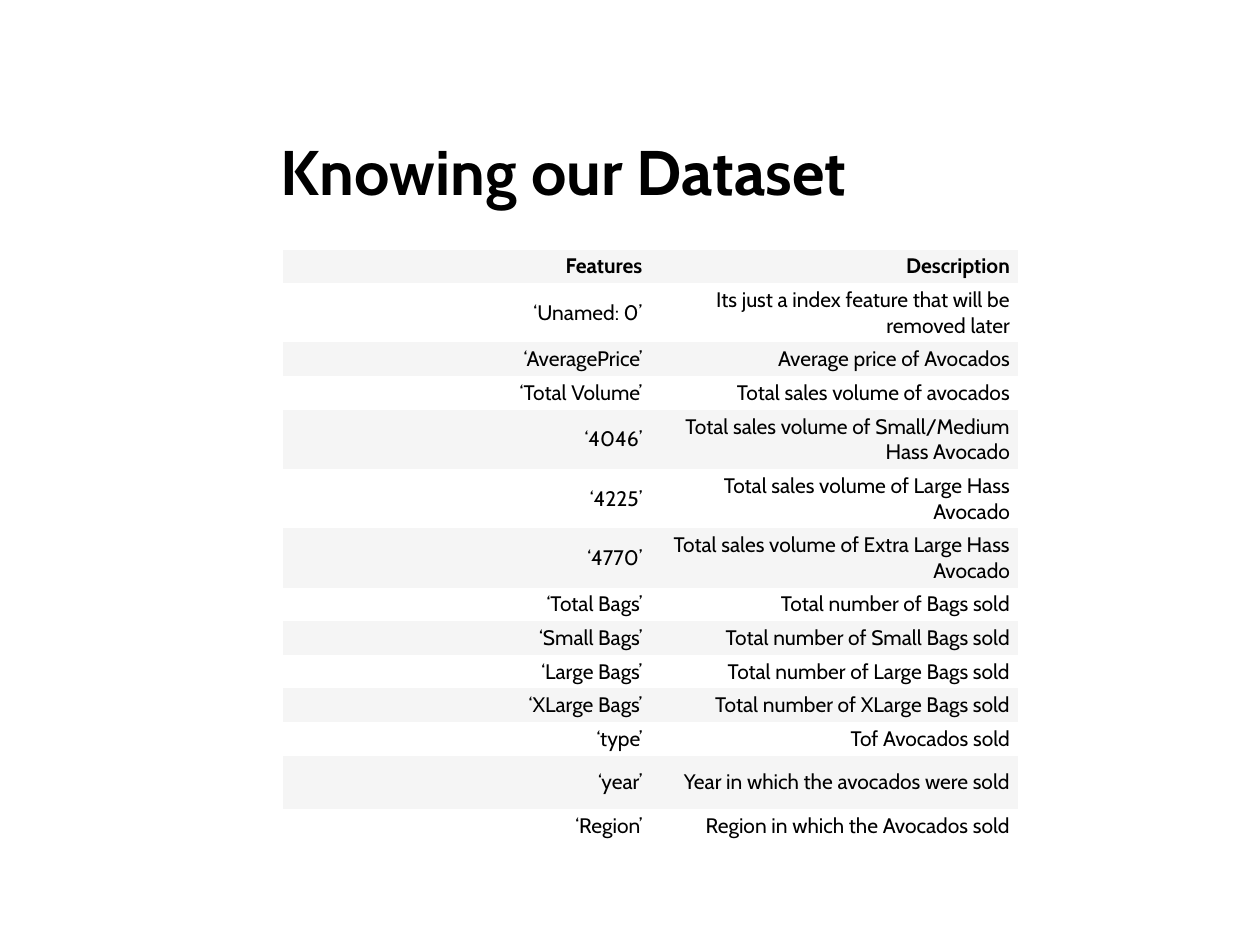
from pptx import Presentation
from pptx.dml.color import RGBColor
from pptx.enum.text import MSO_ANCHOR as Anchor, MSO_AUTO_SIZE as AutoSize, PP_ALIGN as Align
from pptx.oxml.ns import qn
from pptx.util import Cm, Pt

COLORS = {"text": "000000", "band": "F5F5F5", "plain": "FFFFFF"}
NO_STYLE_NO_GRID = "{2D5ABB26-0587-4C30-8999-92F81FD0307C}"
SINGLE_ROW, TALL_ROW = 0.61, 1.07

# Feature, description, minimum row height in cm
FEATURES = [
    ("Features", "Description", SINGLE_ROW),
    ("‘Unamed: 0’", "Its just a index feature that will be removed later", TALL_ROW),
    ("‘AveragePrice’", "Average price of Avocados", SINGLE_ROW),
    ("‘Total Volume’", "Total sales volume of avocados", SINGLE_ROW),
    ("‘4046’", "Total sales volume of Small/Medium Hass Avocado", TALL_ROW),
    ("‘4225’", "Total sales volume of Large Hass Avocado", TALL_ROW),
    ("‘4770’", "Total sales volume of Extra Large Hass Avocado", TALL_ROW),
    ("‘Total Bags’", "Total number of Bags sold", SINGLE_ROW),
    ("‘Small Bags’", "Total number of Small Bags sold", SINGLE_ROW),
    ("‘Large Bags’", "Total number of Large Bags sold", SINGLE_ROW),
    ("‘XLarge Bags’", "Total number of XLarge Bags sold", SINGLE_ROW),
    ("‘type’", "Tof Avocados sold", SINGLE_ROW),
    ("‘year’", "Year in which the avocados were sold", TALL_ROW),
    ("‘Region’", "Region in which the Avocados sold", SINGLE_ROW),
]


class SlideBuilder:
    font_name = "Cabin"
    title_size = 36
    table_size = 12

    def __init__(self, slide):
        self.slide = slide

    def fill(self, item, color):
        item.fill.solid()
        item.fill.fore_color.rgb = RGBColor.from_string(COLORS[color])

    def add_run(self, paragraph, text, size, bold):
        run = paragraph.add_run()
        run.text = text
        run.font.name = self.font_name
        run.font.size = Pt(size)
        run.font.bold = bold
        run.font.color.rgb = RGBColor.from_string(COLORS["text"])

    def title(self, text, left, top, width, height):
        shape = self.slide.shapes.title
        shape.left, shape.top = Cm(left), Cm(top)
        shape.width, shape.height = Cm(width), Cm(height)
        self.fill(shape, "plain")
        frame = shape.text_frame
        frame.auto_size = AutoSize.NONE
        frame.word_wrap = True
        frame.vertical_anchor = Anchor.BOTTOM
        frame.margin_left = frame.margin_right = Cm(0.25)
        frame.margin_top, frame.margin_bottom = Cm(0), Cm(0.15)
        paragraph = frame.paragraphs[0]
        paragraph.alignment = Align.LEFT
        self.add_run(paragraph, text, self.title_size, True)

    def table(self, rows, left, top, column_width):
        """Add a banded two-column table whose first row is the bold header."""
        height = sum(row_height for _, _, row_height in rows)
        shape = self.slide.shapes.add_table(
            len(rows), 2, Cm(left), Cm(top), Cm(2 * column_width), Cm(height))
        shape.element.find(".//" + qn("a:tableStyleId")).text = NO_STYLE_NO_GRID
        table = shape.table
        for column in table.columns:
            column.width = Cm(column_width)
        for index, (feature, description, row_height) in enumerate(rows):
            row = table.rows[index]
            row.height = Cm(row_height)
            for cell, text in zip(row.cells, (feature, description)):
                self.cell(cell, text, "plain" if index % 2 else "band", index == 0)

    def cell(self, cell, text, color, bold):
        self.fill(cell, color)
        cell.vertical_anchor = Anchor.MIDDLE
        cell.margin_left = cell.margin_right = Cm(0.16)
        cell.margin_top = cell.margin_bottom = Cm(0.08)
        paragraph = cell.text_frame.paragraphs[0]
        paragraph.alignment = Align.RIGHT
        self.add_run(paragraph, text, self.table_size, bold)


def main():
    presentation = Presentation()
    presentation.slide_width, presentation.slide_height = Cm(25.4), Cm(19.05)
    title_only = presentation.slide_layouts[5]
    builder = SlideBuilder(presentation.slides.add_slide(title_only))
    builder.title("Knowing our Dataset", 5.41, 1.88, 12.85, 2.46)
    builder.table(FEATURES, 5.7, 5.03, 7.41)
    presentation.save("out.pptx")


if __name__ == "__main__":
    main()
